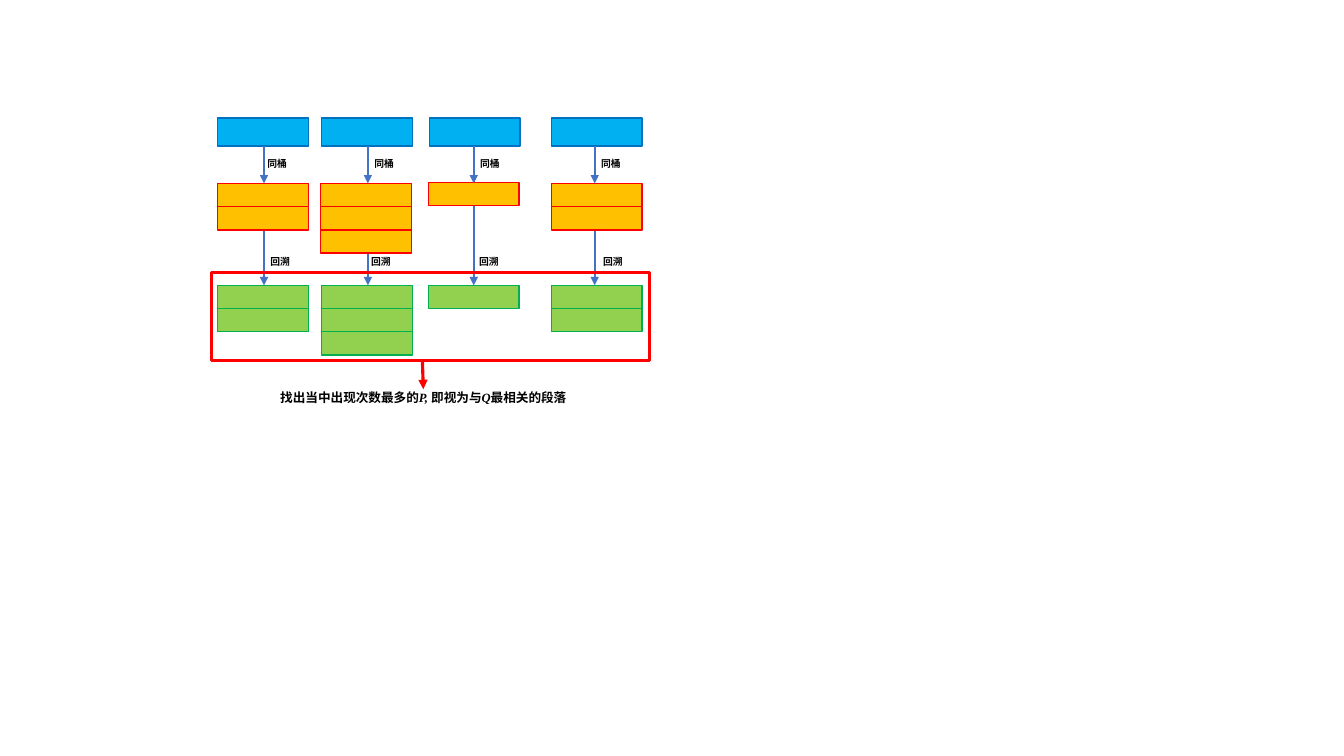
from collections import namedtuple
from lxml.etree import SubElement
from pptx import Presentation
from pptx.dml.color import RGBColor
from pptx.enum.shapes import MSO_CONNECTOR, MSO_SHAPE
from pptx.enum.text import MSO_AUTO_SIZE, PP_ALIGN
from pptx.oxml.ns import qn
from pptx.util import Pt

BLUE, BLUE_EDGE = RGBColor(0x00, 0xB0, 0xF0), RGBColor(0x00, 0x70, 0xC0)
ORANGE, RED = RGBColor(0xFF, 0xC0, 0x00), RGBColor(0xFF, 0x00, 0x00)
GREEN, GREEN_EDGE = RGBColor(0x92, 0xD0, 0x50), RGBColor(0x00, 0xB0, 0x50)
ARROW = RGBColor(0x44, 0x72, 0xC4)
BLACK = RGBColor(0x00, 0x00, 0x00)
FONT = "Times New Roman"

Column = namedtuple(
    "Column", "query bucket source count bucket_top arrow back_start bucket_label back_label")
COLUMNS = [
    Column(155.5, 155.5, 155.5, 2, 131, 188.6, 164.2, 181.4, 183.6),
    Column(229.7, 229, 229.7, 3, 131, 262.8, 162.7, 257.8, 255.6),
    Column(306.7, 306, 306, 1, 130.3, 338.4, 109.4, 333.4, 332.6),
    Column(393.8, 393.8, 393.8, 2, 131, 424.8, 164.9, 419.8, 421.2),
]
BUCKET_LABEL, BACK_LABEL = "同桶", "回溯"
CONCLUSION = [("找出当中出现次数最多的", False), ("P, ", True), ("即视为与", False),
              ("Q", True), ("最相关的段落", False)]

BOX_W, QUERY_H, CELL_H = 64.8, 20.2, 16.6
QUERY_TOP, SOURCE_TOP = 84.2, 203.8
LABEL_W, LABEL_H = 33.1, 15.8


def add_box(s, x, y, w, h, fill, edge, weight=1):
    sp = s.shapes.add_shape(MSO_SHAPE.RECTANGLE, Pt(x), Pt(y), Pt(w), Pt(h))
    sp.shadow.inherit = False
    if fill is None:
        sp.fill.background()
    else:
        sp.fill.solid()
        sp.fill.fore_color.rgb = fill
    sp.line.color.rgb = edge
    sp.line.width = Pt(weight)


def add_stack(s, x, y, count, fill, edge):
    for i in range(count):
        add_box(s, x, y + i * CELL_H, BOX_W, CELL_H, fill, edge)


def add_arrow(s, x1, y1, x2, y2, color, weight):
    line = s.shapes.add_connector(MSO_CONNECTOR.STRAIGHT, Pt(x1), Pt(y1), Pt(x2), Pt(y2))
    line.line.color.rgb = color
    line.line.width = Pt(weight)
    SubElement(line.line._get_or_add_ln(), qn("a:tailEnd"), type="triangle")
    SubElement(line._element.spPr, qn("a:effectLst"))


def add_text(s, x, y, w, h, runs, size):
    tf = s.shapes.add_textbox(Pt(x), Pt(y), Pt(w), Pt(h)).text_frame
    tf.word_wrap = True
    tf.auto_size = MSO_AUTO_SIZE.SHAPE_TO_FIT_TEXT
    p = tf.paragraphs[0]
    p.alignment = PP_ALIGN.CENTER
    for text, italic in runs:
        r = p.add_run()
        r.text = text
        r.font.name = FONT
        r.font.size = Pt(size)
        r.font.bold = True
        r.font.italic = italic
        r.font.color.rgb = BLACK


def main():
    prs = Presentation()
    prs.slide_width, prs.slide_height = Pt(960), Pt(540)
    s = prs.slides.add_slide(prs.slide_layouts[6])

    for c in COLUMNS:
        add_arrow(s, c.arrow, c.back_start, c.arrow, SOURCE_TOP, ARROW, 1.5)
        add_box(s, c.query, QUERY_TOP, BOX_W, QUERY_H, BLUE, BLUE_EDGE)
        add_stack(s, c.bucket, c.bucket_top, c.count, ORANGE, RED)
        add_arrow(s, c.arrow, QUERY_TOP + QUERY_H, c.arrow, 131, ARROW, 1.5)
        add_stack(s, c.source, SOURCE_TOP, c.count, GREEN, GREEN_EDGE)
        add_text(s, c.bucket_label, 109.4, LABEL_W, LABEL_H, [(BUCKET_LABEL, False)], 7)
        add_text(s, c.back_label, 179.3, LABEL_W, LABEL_H, [(BACK_LABEL, False)], 7)

    add_box(s, 151.2, 194.4, 312.5, 63.4, None, RED, 2.25)
    add_arrow(s, 301.7, 257, 302.4, 278, RED, 2.25)
    add_text(s, 185, 275, 234.7, 18, CONCLUSION, 9)
    prs.save("out.pptx")


if __name__ == "__main__":
    main()
